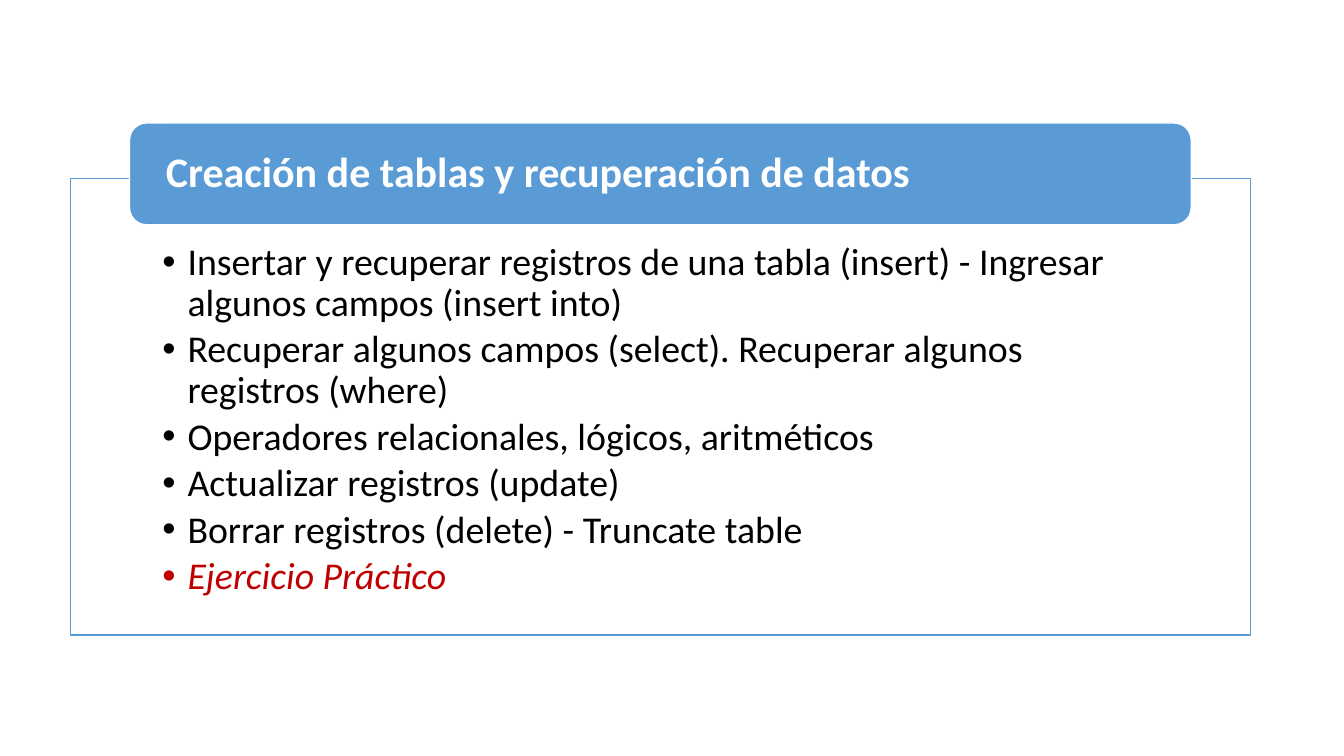
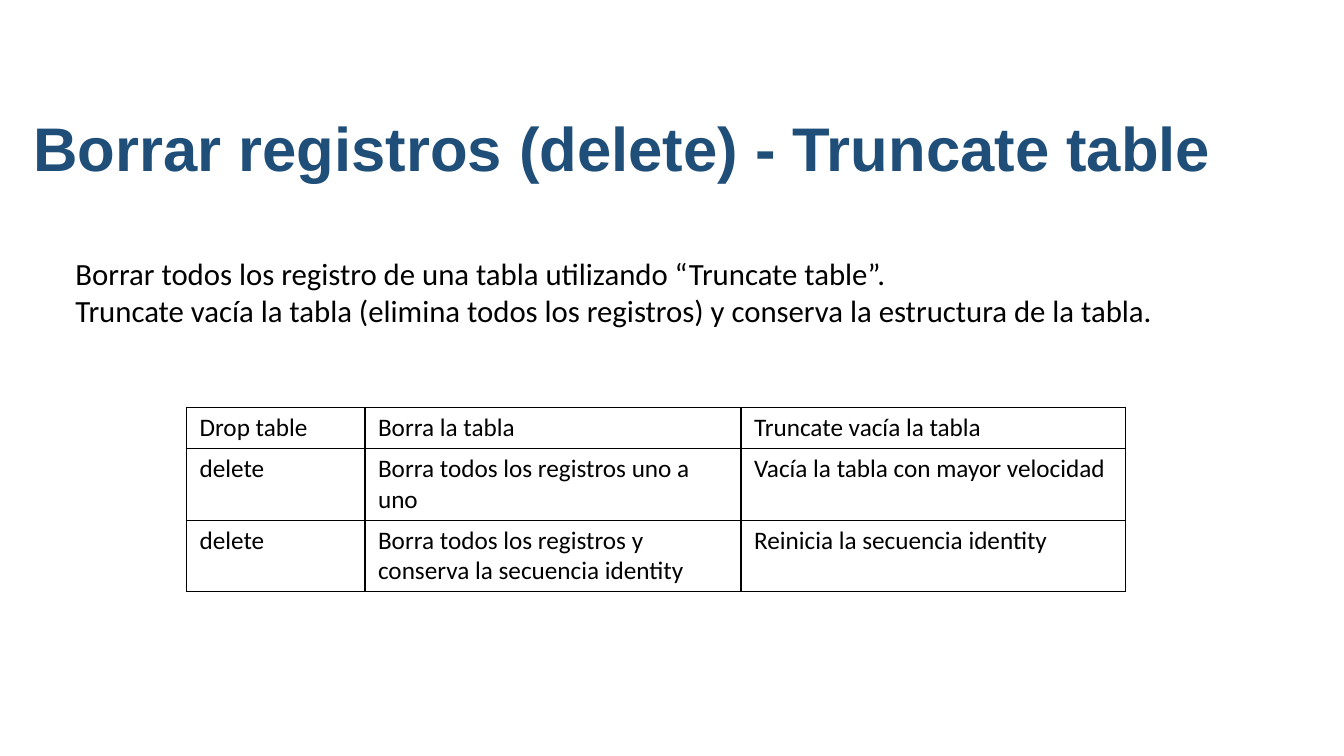
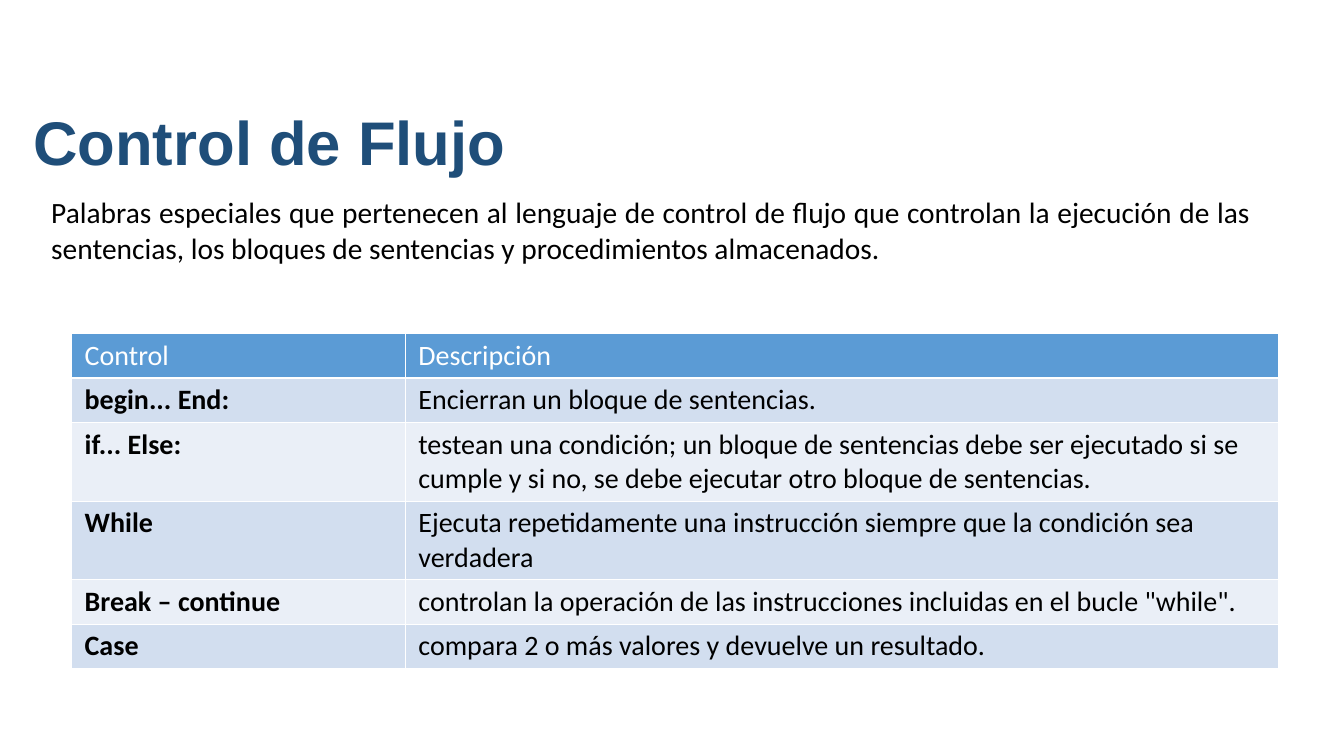
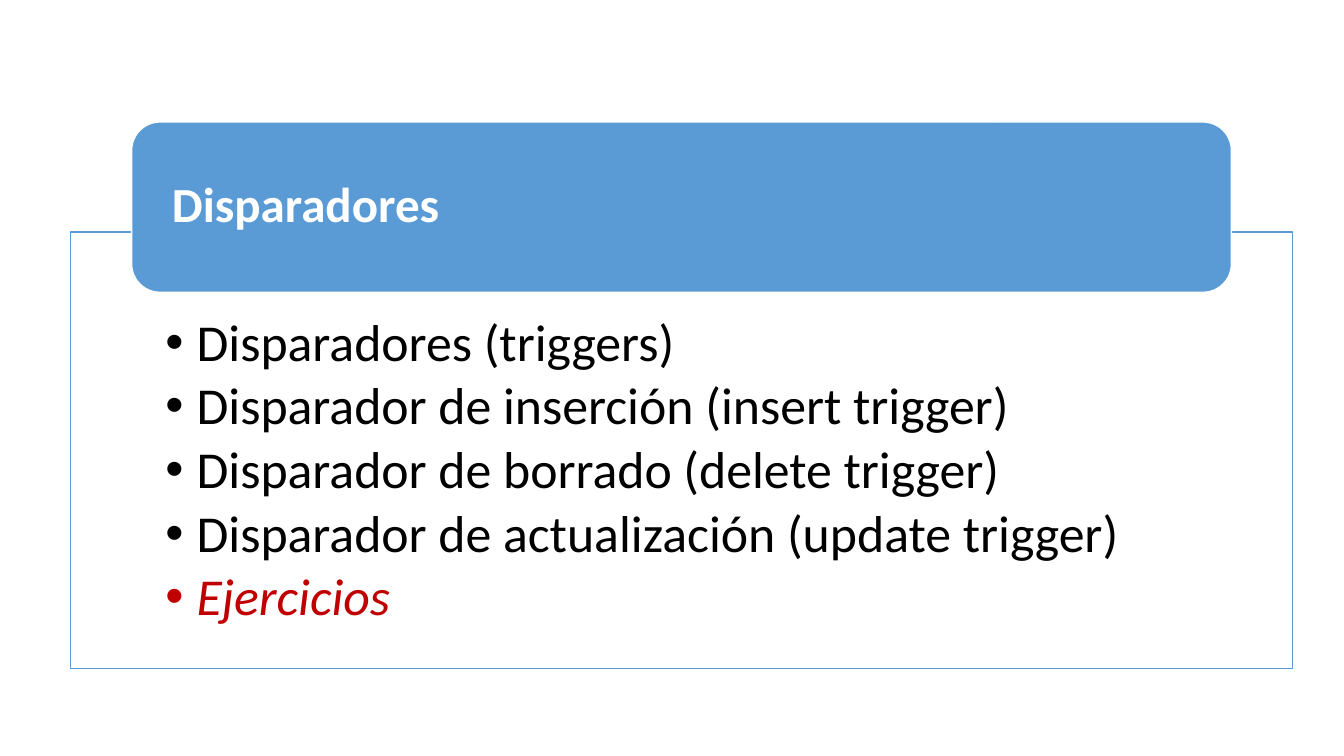
from lxml import etree
from pptx import Presentation
from pptx.dml.color import RGBColor
from pptx.enum.shapes import MSO_SHAPE
from pptx.enum.text import MSO_ANCHOR, MSO_AUTO_SIZE, PP_ALIGN
from pptx.oxml.ns import qn
from pptx.util import Inches, Pt

ROUNDED = MSO_SHAPE.ROUNDED_RECTANGLE
MIDDLE, TOP = MSO_ANCHOR.MIDDLE, MSO_ANCHOR.TOP
LEFT, JUSTIFY = PP_ALIGN.LEFT, PP_ALIGN.JUSTIFY
NO_AUTOFIT = MSO_AUTO_SIZE.NONE
TITLE_AND_CONTENT, TITLE_ONLY = 1, 5

BLUE, NAVY, RED = "5B9BD5", "1F4E79", "C00000"
BLACK, WHITE = "000000", "FFFFFF"
BAND_COLORS = ("EAEFF7", "D2DEEF")
BODY_FONT, TITLE_FONT = "Calibri", "Arial"
LINE_SPACING = 0.9
FRAME_LEFT = 0.7
BANNER_INDENT = 0.05

CREATION = {
    "title": "Creación de tablas y recuperación de datos",
    "items": [
        "Insertar y recuperar registros de una tabla (insert) - Ingresar algunos campos (insert into)",
        "Recuperar algunos campos (select). Recuperar algunos registros (where)",
        "Operadores relacionales, lógicos, aritméticos",
        "Actualizar registros (update)",
        "Borrar registros (delete) - Truncate table",
    ],
    "exercise": "Ejercicio Práctico",
    "frame": (1.77, 11.7, 4.53),
    "banner": (1.22, 1.01),
    "sizes": (30, 27),
    "title_inset": 0.36,
    "insets": (0.91, 0.64, 0.91, 0.21),
    "hanging": 0.25,
}
TRIGGERS = {
    "title": "Disparadores",
    "items": [
        "Disparadores (triggers)",
        "Disparador de inserción (insert trigger)",
        "Disparador de borrado (delete trigger)",
        "Disparador de actualización (update trigger)",
    ],
    "exercise": "Ejercicios",
    "frame": (2.3, 12.12, 4.33),
    "banner": (1.21, 1.69),
    "sizes": (35, 37),
    "title_inset": 0.4,
    "insets": (0.94, 0.84, 0.94, 0.29),
    "hanging": 0.31,
}
TRUNCATE = {
    "title": "Borrar registros (delete) - Truncate table",
    "title_top": 0.88,
    "intro": [
        "Borrar todos los registro de una tabla utilizando “Truncate table”.",
        "Truncate vacía la tabla (elimina todos los registros) y conserva la estructura de la tabla.",
    ],
    "intro_box": (0.65, 2.48, 12.25, 0.84),
    "intro_size": 22,
    "intro_align": LEFT,
    "rows": [
        ("Drop table", "Borra la tabla", "Truncate vacía la tabla"),
        ("delete", "Borra todos los registros uno a uno", "Vacía la tabla con mayor velocidad"),
        ("delete", "Borra todos los registros y conserva la secuencia identity", "Reinicia la secuencia identity"),
    ],
    "table_at": (1.85, 4.04),
    "columns": (1.77, 3.73, 3.81),
    "cell_size": 18,
    "border": BLACK,
    "banded": False,
}
FLOW = {
    "title": "Control de Flujo",
    "title_top": 0.82,
    "intro": [
        "Palabras especiales que pertenecen al lenguaje de control de flujo que controlan la ejecución de las sentencias, los bloques de sentencias y procedimientos almacenados.",
    ],
    "intro_box": (0.41, 1.88, 12.09, 0.81),
    "intro_size": 21,
    "intro_align": JUSTIFY,
    "rows": [
        ("Control", "Descripción"),
        ("begin... End:", "Encierran un bloque de sentencias."),
        ("if... Else:", "testean una condición; un bloque de sentencias debe ser ejecutado si se cumple y si no, se debe ejecutar otro bloque de sentencias."),
        ("While", "Ejecuta repetidamente una instrucción siempre que la condición sea verdadera"),
        ("Break – continue", 'controlan la operación de las instrucciones incluidas en el bucle "while".'),
        ("Case", "compara 2 o más valores y devuelve un resultado."),
    ],
    "table_at": (0.71, 3.31),
    "columns": (3.31, 8.66),
    "cell_size": 20,
    "border": WHITE,
    "banded": True,
}


def color(value):
    return RGBColor.from_string(value)


def place(shape, left, top, width, height):
    shape.left, shape.top = Inches(left), Inches(top)
    shape.width, shape.height = Inches(width), Inches(height)


def style_runs(paragraph, size, value, font=BODY_FONT, bold=False, italic=False):
    for run in paragraph.runs:
        run.font.name, run.font.size = font, Pt(size)
        run.font.bold, run.font.italic = bold, italic
        run.font.color.rgb = color(value)


def set_frame(shape, insets, anchor):
    frame = shape.text_frame
    frame.word_wrap, frame.auto_size = True, NO_AUTOFIT
    frame.vertical_anchor = anchor
    frame.margin_left, frame.margin_top, frame.margin_right, frame.margin_bottom = map(Inches, insets)
    return frame


def set_title(slide, text, box, inset, size, value, font):
    title = slide.shapes.title
    place(title, *box)
    frame = set_frame(title, (inset, 0, inset, 0), MIDDLE)
    frame.text = text
    paragraph = frame.paragraphs[0]
    paragraph.alignment, paragraph.line_spacing = LEFT, LINE_SPACING
    style_runs(paragraph, size, value, font, bold=True)
    return title


def add_list_slide(presentation, content):
    slide = presentation.slides.add_slide(presentation.slide_layouts[TITLE_AND_CONTENT])
    title_size, item_size = content["sizes"]
    top, width, height = content["frame"]

    body = slide.placeholders[1]
    place(body, FRAME_LEFT, top, width, height)
    body.fill.solid()
    body.fill.fore_color.rgb = color(WHITE)
    body.line.color.rgb, body.line.width = color(BLUE), Pt(1)
    frame = set_frame(body, content["insets"], TOP)
    frame.text = "\n".join(content["items"] + [content["exercise"]])
    hanging = Inches(content["hanging"])
    for paragraph in frame.paragraphs:
        properties = paragraph._p.get_or_add_pPr()
        properties.set("marL", str(hanging))
        properties.set("indent", str(-hanging))
        paragraph.line_spacing = LINE_SPACING
        paragraph.space_before, paragraph.space_after = Pt(0), Pt(round(item_size * 0.15, 1))
        style_runs(paragraph, item_size, BLACK)
    style_runs(frame.paragraphs[-1], item_size, RED, italic=True)

    banner_top, banner_height = content["banner"]
    box = (FRAME_LEFT + width * BANNER_INDENT, banner_top, width * (1 - 2 * BANNER_INDENT), banner_height)
    banner = slide.shapes.add_shape(ROUNDED, *map(Inches, box))
    banner.shadow.inherit = False
    banner.fill.solid()
    banner.fill.fore_color.rgb = color(BLUE)
    banner.line.color.rgb, banner.line.width = color(WHITE), Pt(1)
    title = set_title(slide, content["title"], box, content["title_inset"], title_size, WHITE, BODY_FONT)
    banner._element.addnext(title._element)


def set_borders(cell, value):
    properties = cell._tc.get_or_add_tcPr()
    for position, side in enumerate(("lnL", "lnR", "lnT", "lnB")):
        line = etree.Element(qn(f"a:{side}"), w=str(Pt(1)))
        fill = etree.SubElement(line, qn("a:solidFill"))
        etree.SubElement(fill, qn("a:srgbClr"), val=value)
        properties.insert(position, line)


def fill_cell(cell, text, row, column, content):
    banded = content["banded"]
    header = banded and row == 0
    cell.text = text
    cell.margin_left = cell.margin_right = Inches(0.13)
    cell.margin_top = cell.margin_bottom = Inches(0.05)
    if banded:
        cell.fill.solid()
        cell.fill.fore_color.rgb = color(BLUE if header else BAND_COLORS[row % 2])
    else:
        cell.fill.background()
    set_borders(cell, content["border"])
    style_runs(cell.text_frame.paragraphs[0], content["cell_size"], WHITE if header else BLACK,
               bold=banded and row > 0 and column == 0)


def add_table_slide(presentation, content):
    slide = presentation.slides.add_slide(presentation.slide_layouts[TITLE_ONLY])
    set_title(slide, content["title"], (0.23, content["title_top"], 12.46, 1.25), 0.1, 44, NAVY, TITLE_FONT)

    intro = slide.shapes.add_textbox(*map(Inches, content["intro_box"]))
    frame = set_frame(intro, (0.1, 0.05, 0.1, 0.05), TOP)
    frame.text = "\n".join(content["intro"])
    for paragraph in frame.paragraphs:
        paragraph.alignment = content["intro_align"]
        style_runs(paragraph, content["intro_size"], BLACK)

    rows, columns = content["rows"], content["columns"]
    row_height = 0.41
    size = (sum(columns), row_height * len(rows))
    table = slide.shapes.add_table(len(rows), len(columns), *map(Inches, content["table_at"] + size)).table
    table.first_row = table.horz_banding = False
    for column, width in zip(table.columns, columns):
        column.width = Inches(width)
    for row, texts in enumerate(rows):
        for column, text in enumerate(texts):
            fill_cell(table.cell(row, column), text, row, column, content)


def main():
    presentation = Presentation()
    presentation.slide_width, presentation.slide_height = Inches(13.33), Inches(7.5)
    add_list_slide(presentation, CREATION)
    add_table_slide(presentation, TRUNCATE)
    add_table_slide(presentation, FLOW)
    add_list_slide(presentation, TRIGGERS)
    presentation.save("out.pptx")


if __name__ == "__main__":
    main()
